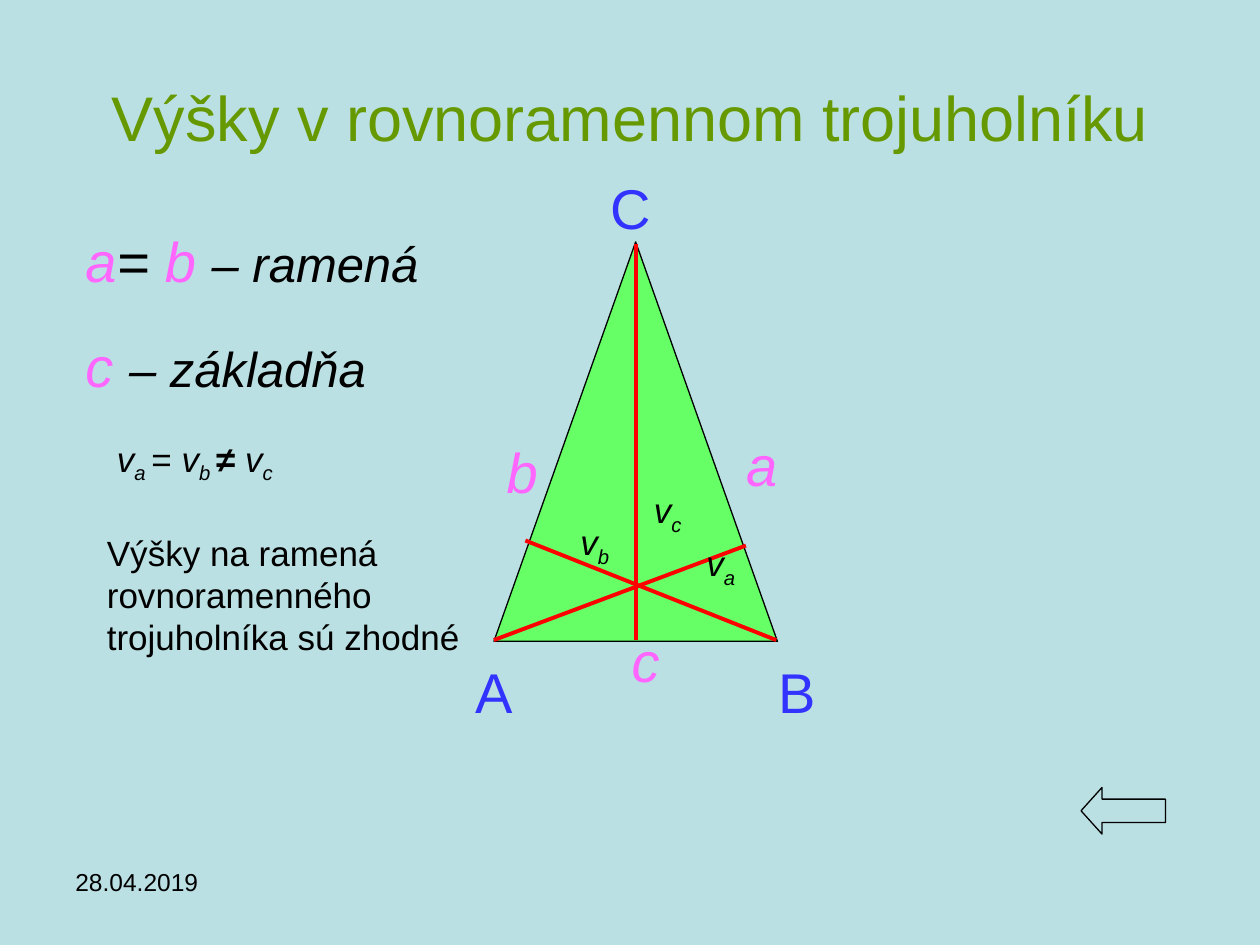
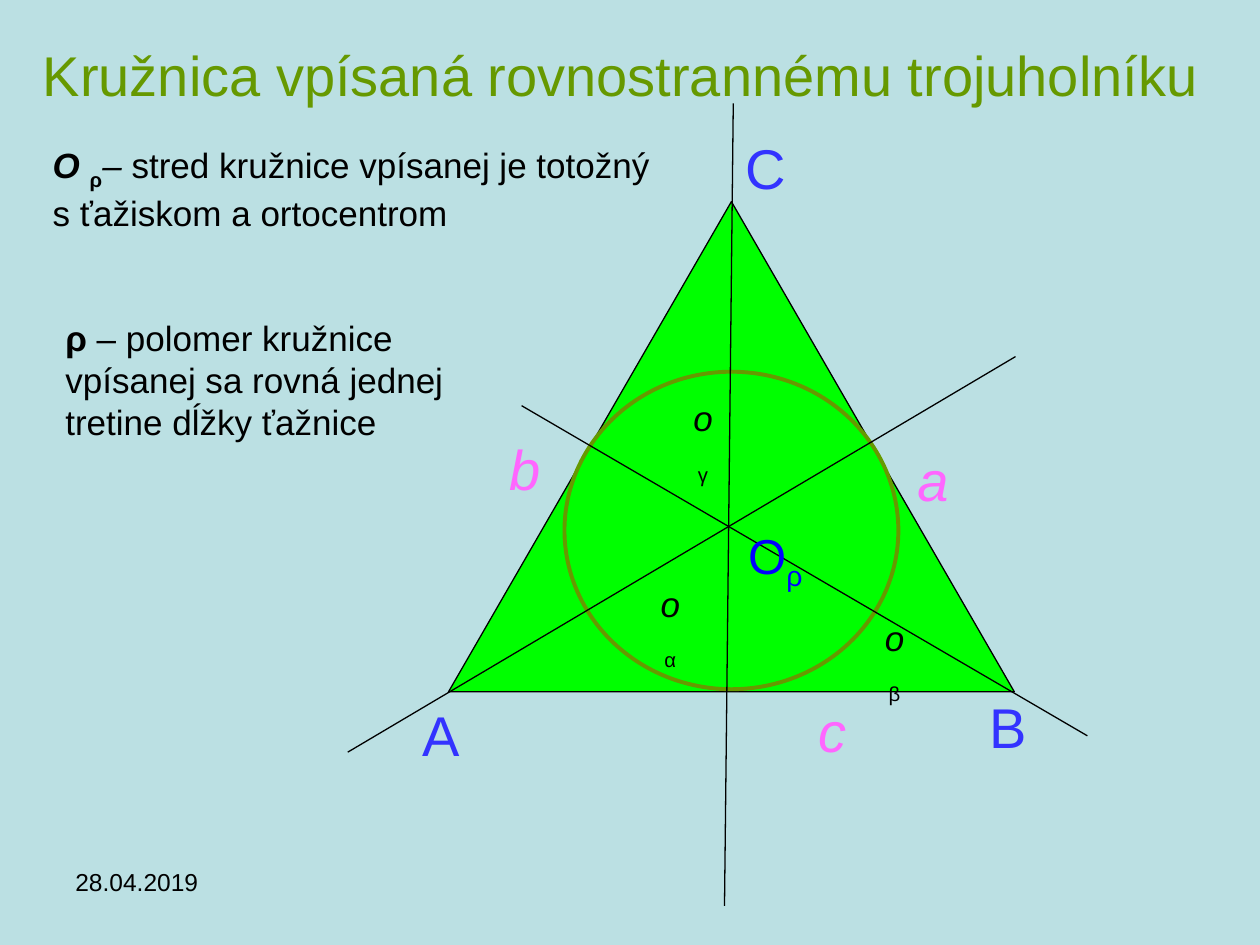
from dataclasses import dataclass

from lxml import etree
from pptx import Presentation
from pptx.dml.color import RGBColor
from pptx.enum.shapes import MSO_CONNECTOR, MSO_SHAPE
from pptx.enum.text import MSO_ANCHOR, MSO_AUTO_SIZE, PP_ALIGN
from pptx.oxml.ns import qn
from pptx.util import Inches, Pt

LEFT, CENTER = PP_ALIGN.LEFT, PP_ALIGN.CENTER
MIDDLE = MSO_ANCHOR.MIDDLE
GROW = MSO_AUTO_SIZE.SHAPE_TO_FIT_TEXT
STRAIGHT = MSO_CONNECTOR.STRAIGHT
TRIANGLE, OVAL, BACK_ARROW = MSO_SHAPE.FLOWCHART_EXTRACT, MSO_SHAPE.OVAL, MSO_SHAPE.LEFT_ARROW


@dataclass(frozen=True)
class Theme:
    font: str = "Arial"
    background: str = "BBE0E3"
    text: str = "000000"
    title: str = "669900"
    vertex: str = "3333FF"
    side: str = "FF66FF"
    center: str = "0000FF"
    altitude: str = "FF0000"
    isosceles: str = "66FF66"
    equilateral: str = "00FF00"
    title_size: int = 36
    label_size: int = 32
    term_size: int = 28
    body_size: int = 20
    date_size: int = 14
    thin: float = 0.75
    thick: float = 2.25


T = Theme()
SUB = {"sub": True}
DATE = "28.04.2019"


def write(sp, text, size=T.body_size, color=T.text, bold=False, italic=False,
          align=LEFT, wrap=True):
    """Fill sp with text: a string, or (string, format overrides) runs."""
    tf = sp.text_frame
    tf.word_wrap = wrap
    p = tf.paragraphs[0]
    p.alignment = align
    for part, own in [(text, {})] if isinstance(text, str) else text:
        r = p.add_run()
        r.text = part
        r.font.name = T.font
        r.font.size = Pt(own.get("size", size))
        r.font.bold = own.get("bold", bold)
        r.font.italic = own.get("italic", italic)
        r.font.color.rgb = RGBColor.from_string(own.get("color", color))
        if own.get("sub"):
            r._r.get_or_add_rPr().set("baseline", "-25000")
    return tf


def outline(sp, color=T.text, width=T.thin):
    """Give a shape or connector a plain line and no shadow."""
    sp.line.color.rgb = RGBColor.from_string(color)
    sp.line.width = Pt(width)
    if hasattr(sp, "shadow"):
        sp.shadow.inherit = False
    else:
        etree.SubElement(sp._element.spPr, qn("a:effectLst"))


altitudes_slide = {
    "title": "Výšky v rovnoramennom trojuholníku",
    "title_box": (0.5, 0.3, 9, 1.25),
    "title_format": {"size": T.title_size, "align": CENTER},
    "shapes": [
        (TRIANGLE, (3.92, 1.92, 2.25, 3.17), T.isosceles, T.text, T.thin),
        (BACK_ARROW, (8.58, 6.25, 0.67, 0.37), T.background, T.text, T.thin),
    ],
    "line_format": {"color": T.altitude, "width": T.thick},
    "lines": [
        (5.05, 1.94, 5.05, 5.08),
        (3.92, 5.08, 5.92, 4.33),
        (6.16, 5.08, 4.17, 4.29),
    ],
    "vertices": {"A": (3.67, 5.17), "B": (6.08, 5.17), "C": (4.75, 1.33)},
    "sides": {"a": (5.82, 3.37), "b": (3.92, 3.42), "c": (4.9, 4.92)},
    "symbols": [
        ("v", "c", (5.08, 3.83)),
        ("v", "b", (4.5, 4.08)),
        ("v", "a", (5.5, 4.25)),
    ],
    "texts": [
        ((0.58, 1.75, 4.33, 0.63),
         [("a", {"color": T.side}), ("=", {}), (" b ", {"color": T.side}),
          ("– ramená", {"size": T.term_size})],
         {"size": T.label_size, "italic": True}),
        ((0.58, 2.58, 3.45, 0.63),
         [("c ", {"color": T.side}), ("– základňa", {"size": T.term_size})],
         {"size": T.label_size, "italic": True}),
        ((0.83, 3.42, 2.25, 0.77),
         [("v", {}), ("a ", SUB), ("= ", {"italic": False}), ("v", {}), ("b ", SUB),
          ("≠ ", {"italic": False, "bold": True}), ("v", {}), ("c", SUB)],
         {"italic": True}),
        ((0.75, 4.17, 3.17, 1.1),
         "Výšky na ramená rovnoramenného trojuholníka sú zhodné", {}),
    ],
}

incircle_slide = {
    "title": "Kružnica vpísaná rovnostrannému trojuholníku",
    "title_box": (0.24, 0.24, 9.5, 0.7),
    "title_format": {"size": T.label_size},
    "shapes": [
        (TRIANGLE, (3.56, 1.6, 4.49, 3.89), T.equilateral, T.text, T.thin),
        (OVAL, (4.48, 2.95, 2.65, 2.52), None, T.title, T.thick),
    ],
    "line_format": {},
    "lines": [
        (5.82, 0.82, 5.75, 7.19),
        (2.76, 5.97, 8.06, 2.83),
        (4.14, 3.22, 8.63, 5.84),
    ],
    "vertices": {"A": (3.25, 5.51), "B": (7.75, 5.45), "C": (5.82, 1.01)},
    "sides": {"a": (7.18, 3.49), "b": (3.94, 3.4), "c": (6.38, 5.48)},
    "symbols": [
        ("o ", "α", (5.1, 4.57)),
        ("o ", "β", (6.88, 4.84)),
        ("o ", "γ", (5.36, 3.1)),
    ],
    "texts": [
        ((5.77, 4.12, 0.77, 0.78), [("O", {}), ("ρ", SUB)],
         {"size": T.term_size, "color": T.center, "align": CENTER}),
        ((0.32, 1.09, 5.09, 0.77),
         [("O ", {"bold": True, "italic": True}), ("ρ", {"bold": True, "sub": True}),
          ("– ", {"italic": True}),
          ("stred kružnice vpísanej je totožný s ťažiskom a ortocentrom", {})], {}),
        ((0.42, 2.46, 3.69, 1.1),
         [("ρ", {"bold": True}),
          (" – polomer kružnice vpísanej sa rovná jednej tretine dĺžky ťažnice", {})], {}),
    ],
}

prs = Presentation()
prs.slide_width, prs.slide_height = Inches(10), Inches(7.5)
fill = prs.slide_master.background.fill
fill.solid()
fill.fore_color.rgb = RGBColor.from_string(T.background)
title_only = prs.slide_layouts[5]

for content in (altitudes_slide, incircle_slide):
    s = prs.slides.add_slide(title_only)
    title = s.shapes.title
    title.left, title.top, title.width, title.height = map(Inches, content["title_box"])
    tf = write(title, content["title"], color=T.title, **content["title_format"])
    tf.vertical_anchor = MIDDLE
    tf.auto_size = MSO_AUTO_SIZE.NONE

    date = s.shapes.add_textbox(*map(Inches, (0.5, 6.83, 2.33, 0.52)))
    write(date, DATE, size=T.date_size)

    for kind, box, fill_color, line_color, width in content["shapes"]:
        sp = s.shapes.add_shape(kind, *map(Inches, box))
        outline(sp, line_color, width)
        if fill_color:
            sp.fill.solid()
            sp.fill.fore_color.rgb = RGBColor.from_string(fill_color)
        else:
            sp.fill.background()
        if kind == BACK_ARROW:
            sp.adjustments[1] = 0.45

    for ends in content["lines"]:
        line = s.shapes.add_connector(STRAIGHT, *map(Inches, ends))
        outline(line, **content["line_format"])

    labels = [("vertices", {"color": T.vertex}), ("sides", {"color": T.side, "italic": True})]
    for group, label_format in labels:
        label_width = 0.5 if group == "vertices" else 0.45
        for name, (x, y) in content[group].items():
            sp = s.shapes.add_textbox(*map(Inches, (x, y, label_width, 0.63)))
            write(sp, name, size=T.label_size, align=CENTER, wrap=False, **label_format)

    for symbol, index, (x, y) in content["symbols"]:
        sp = s.shapes.add_textbox(*map(Inches, (x, y, 0.44, 0.43)))
        upright = {"sub": True, "italic": symbol == "v"}
        write(sp, [(symbol, {}), (index, upright)], italic=True, align=CENTER, wrap=False)

    for box, text, text_format in content["texts"]:
        sp = s.shapes.add_textbox(*map(Inches, box))
        write(sp, text, **text_format).auto_size = GROW

prs.save("out.pptx")
